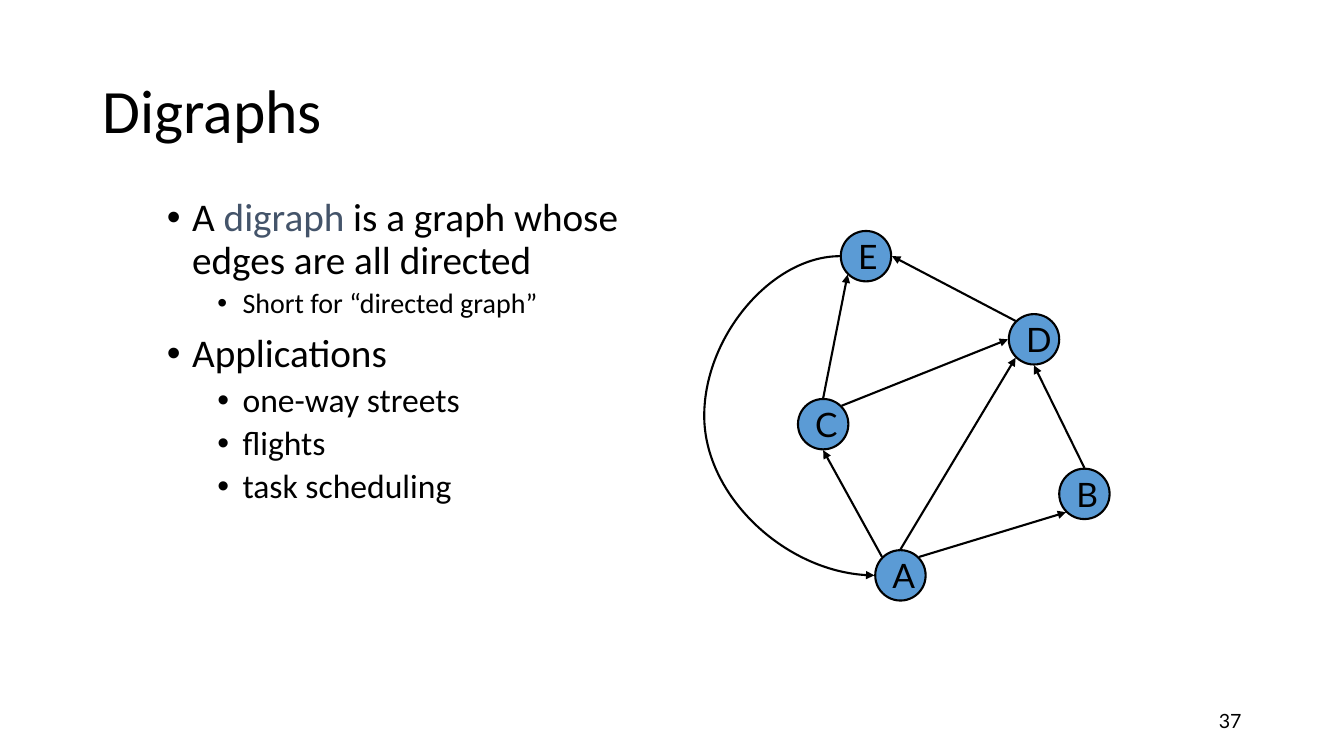
from math import cos, radians, sin

from lxml.etree import SubElement
from pptx import Presentation
from pptx.dml.color import RGBColor
from pptx.enum.shapes import MSO_CONNECTOR as CONN, MSO_SHAPE as SHAPE
from pptx.enum.text import MSO_ANCHOR as ANCHOR, PP_ALIGN as ALIGN
from pptx.oxml.ns import qn
from pptx.util import Inches, Pt

COLS, ROWS = 160, 90
BLACK, BLUE, SLATE = "000000", "5B9BD5", "44546A"
NODE_SIZE, EDGE_RADIUS = 6, 3.1  # in columns


def rgb(value):
    return RGBColor.from_string(value)


def put(target, values):
    for name, value in values.items():
        setattr(target, name, value)


class GraphSlide:
    line_width = Pt(1.5)

    def __init__(self, prs):
        self.s = prs.slides.add_slide(prs.slide_layouts[6])
        self.col = prs.slide_width / COLS
        self.row = prs.slide_height / ROWS

    def place(self, x, y):
        return round(x * self.col), round(y * self.row)

    def run(self, p, text, size, font, color=BLACK):
        r = p.add_run()
        r.text = text
        put(r.font, {"size": Pt(size), "name": font})
        r.font.color.rgb = rgb(color)

    def text_box(self, x, y, w, h, anchor):
        sp = self.s.shapes.add_textbox(*self.place(x, y), *self.place(w, h))
        tf = sp.text_frame
        put(tf, {"word_wrap": True, "vertical_anchor": anchor})
        return tf

    def bullets(self, box, items):
        tf = self.text_box(*box, ANCHOR.TOP)
        for i, (level, size, parts) in enumerate(items):
            p = tf.add_paragraph() if i else tf.paragraphs[0]
            put(p, {"level": level, "line_spacing": 0.9,
                    "space_before": Pt(5 if level else 10)})
            pPr = p._p.get_or_add_pPr()
            pPr.set("marL", str(Inches(0.25 + 0.5 * level)))
            pPr.set("indent", str(Inches(-0.25)))
            SubElement(pPr, qn("a:buFont"), typeface="Arial")
            SubElement(pPr, qn("a:buChar"), char="•")
            for text, color in parts:
                self.run(p, text, size, "Calibri", color)

    def node(self, label, x, y):
        half = NODE_SIZE / 2
        sp = self.s.shapes.add_shape(SHAPE.OVAL, *self.place(x - half, y - half),
                                     *self.place(NODE_SIZE, NODE_SIZE))
        sp.shadow.inherit = False
        sp.fill.solid()
        sp.fill.fore_color.rgb = rgb(BLUE)
        sp.line.color.rgb = rgb(BLACK)
        sp.line.width = self.line_width
        tf = sp.text_frame
        put(tf, {"word_wrap": False, "vertical_anchor": ANCHOR.MIDDLE})
        p = tf.paragraphs[0]
        p.alignment = ALIGN.LEFT
        self.run(p, label, 24, "Lato")

    def edge(self, start, end, kind=CONN.STRAIGHT, arrow="tailEnd"):
        c = self.s.shapes.add_connector(kind, *self.place(*start), *self.place(*end))
        c.line.color.rgb = rgb(BLACK)
        c.line.width = self.line_width
        SubElement(c.line._get_or_add_ln(), qn(f"a:{arrow}"), type="triangle")
        SubElement(c._element.spPr, qn("a:effectLst"))
        return c


# Node centres in columns and rows; rim angles run clockwise from the right
NODES = {"A": (107.2, 68.5), "C": (98, 50.5), "E": (103.1, 30.5),
         "B": (129.1, 58.8), "D": (123.1, 40.4)}
RIGHT, BOTTOM, BOTTOM_LEFT, LEFT, TOP_LEFT, TOP, TOP_RIGHT = 0, 90, 135, 180, 225, 270, 315
EDGES = [("A", TOP_LEFT, "C", BOTTOM), ("A", TOP_RIGHT, "B", BOTTOM_LEFT),
         ("C", TOP, "E", BOTTOM_LEFT), ("D", TOP_LEFT, "E", RIGHT),
         ("B", TOP, "D", BOTTOM), ("A", TOP, "D", BOTTOM_LEFT),
         ("C", TOP_RIGHT, "D", LEFT)]
BULLETS = [
    (0, 28, [("A ", BLACK), ("digraph", SLATE),
             (" is a graph whose edges are all directed", BLACK)]),
    (1, 20, [("Short for “directed graph”", BLACK)]),
    (0, 28, [("Applications", BLACK)]),
    *((1, 24, [(use, BLACK)]) for use in ("one-way streets", "flights", "task scheduling")),
]


def rim(name, angle):
    x, y = NODES[name]
    a = radians(angle)
    return x + EDGE_RADIUS * cos(a), y + EDGE_RADIUS * sin(a)


def main():
    prs = Presentation()
    put(prs, {"slide_width": Inches(13.333), "slide_height": Inches(7.5)})
    g = GraphSlide(prs)

    # Title, bullets and page number
    p = g.text_box(11, 4.8, 138, 17.4, ANCHOR.MIDDLE).paragraphs[0]
    p.line_spacing = 0.9
    g.run(p, "Digraphs", 44, "Calibri")
    g.bullets((18.7, 23, 61.3, 54), BULLETS)
    p = g.text_box(113, 83.4, 36, 4.8, ANCHOR.MIDDLE).paragraphs[0]
    p.alignment = ALIGN.RIGHT
    g.run(p, "37", 14, "Lato")

    # Graph nodes and straight edges
    for label, centre in NODES.items():
        g.node(label, *centre)
    for a, a_side, b, b_side in EDGES:
        g.edge(rim(a, a_side), rim(b, b_side))

    # Curved edge from E round to A, bulging left by five times its width
    c = g.edge(rim("A", LEFT), rim("E", LEFT), CONN.CURVE, "headEnd")
    guides = c._element.spPr.find(qn("a:prstGeom")).get_or_add_avLst()
    SubElement(guides, qn("a:gd"), name="adj1", fmla="val 494000")

    prs.save("out.pptx")


if __name__ == "__main__":
    main()
